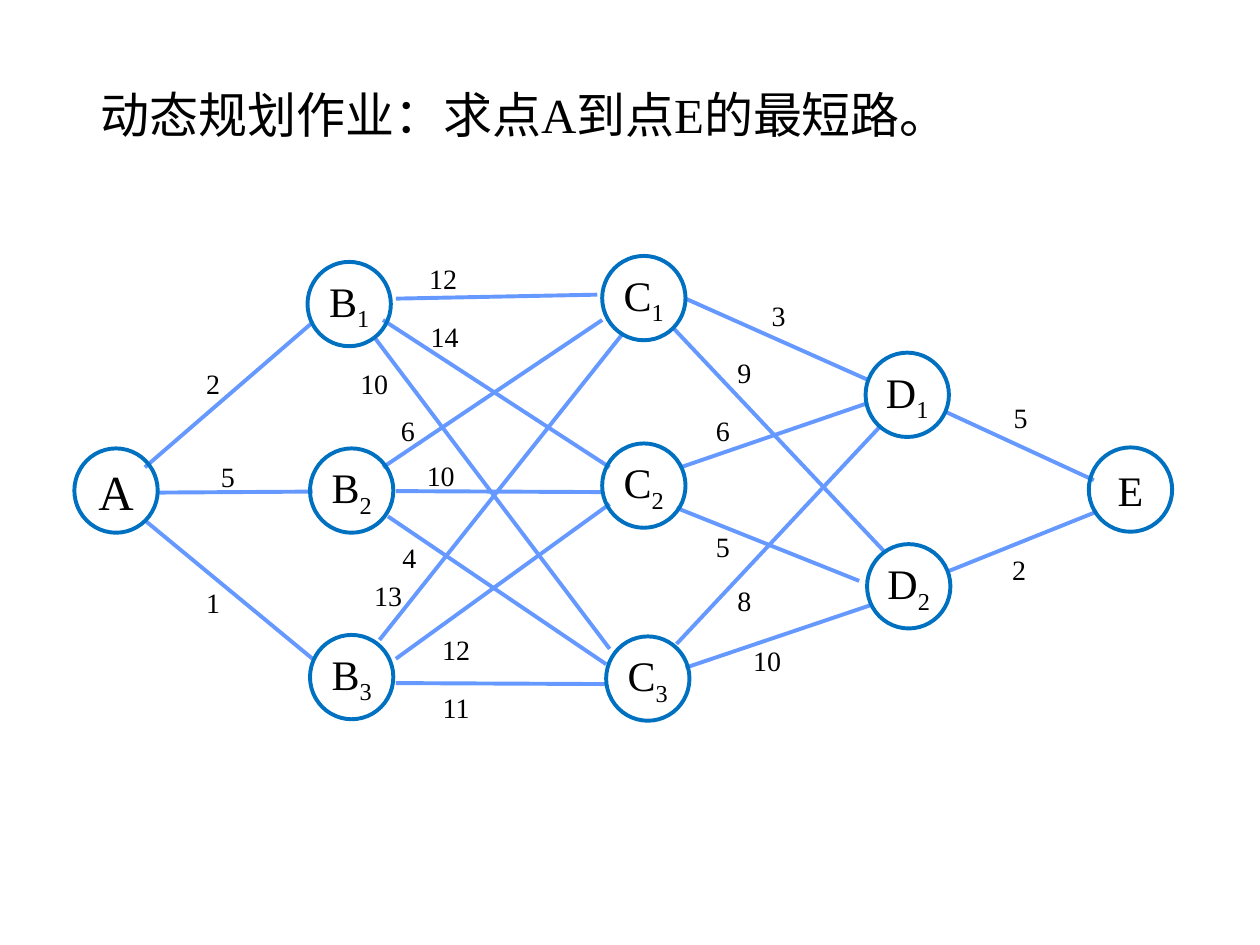
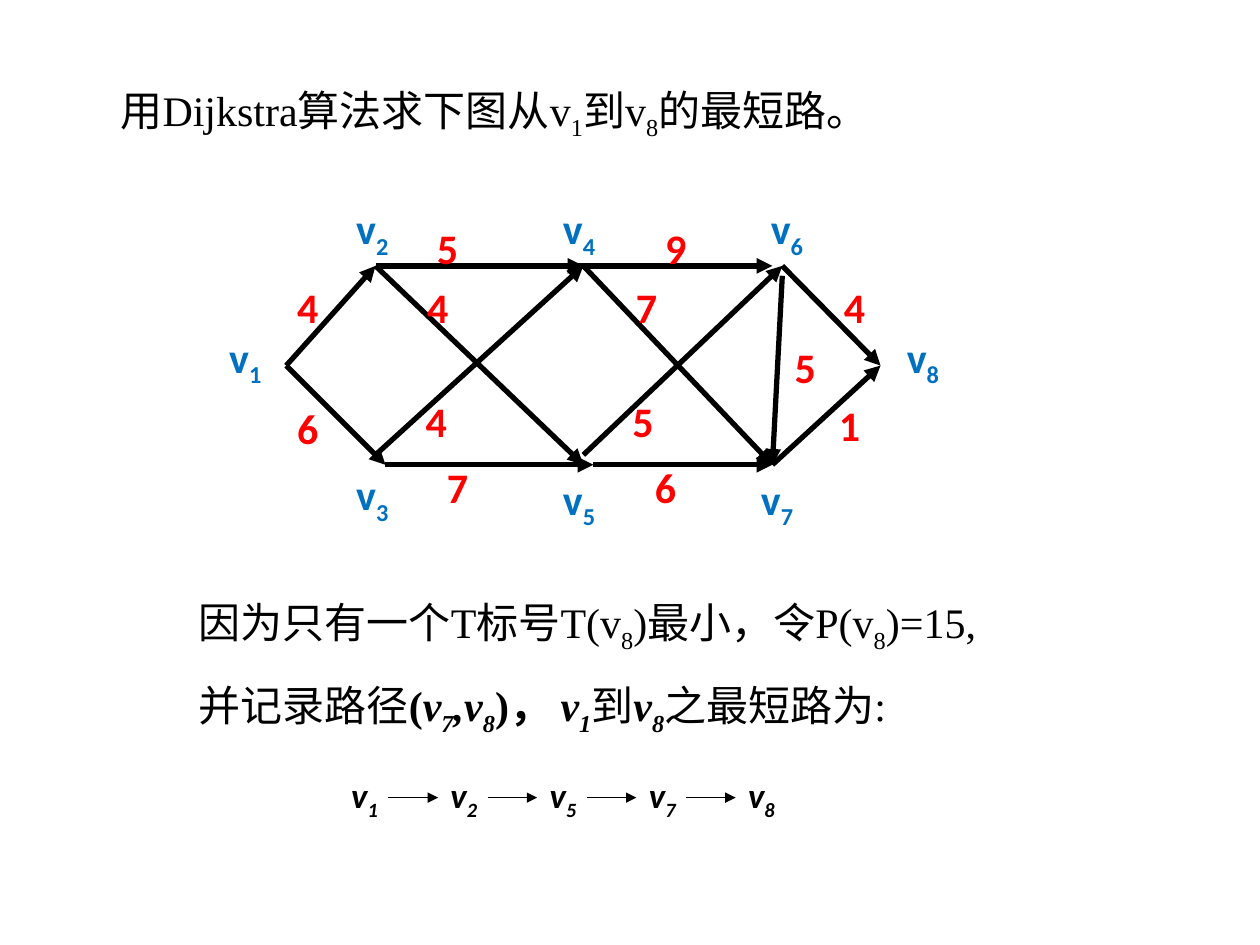
"""Build two slides about shortest paths: a staged network and a Dijkstra example."""
from lxml.etree import SubElement
from pptx import Presentation
from pptx.dml.color import RGBColor
from pptx.enum.shapes import MSO_CONNECTOR as CONNECTOR, MSO_SHAPE as SHAPE
from pptx.enum.text import MSO_ANCHOR as ANCHOR, MSO_AUTO_SIZE as AUTO_SIZE, PP_ALIGN as ALIGN
from pptx.oxml.ns import qn
from pptx.util import Cm, Pt

SERIF, SANS = "Times New Roman", "Calibri"
BLACK, RED, BLUE, EDGE_BLUE = "000000", "FF0000", "0070C0", "6699FF"

STAGE_NODES = [
    ("A", 1.5, 9.04),
    ("B_1", 6.2, 5.28), ("B_2", 6.25, 9.04), ("B_3", 6.25, 12.8),
    ("C_1", 12.14, 5.16), ("C_2", 12.14, 8.94), ("C_3", 12.22, 12.83),
    ("D_1", 17.45, 7.11), ("D_2", 17.48, 10.97),
    ("E", 21.95, 9.02),
]

# Each edge: start, end, weight, top left of the weight label.
STAGE_EDGES = [
    ((2.92, 9.42), (6.3, 6.5), "2", (3.84, 7.39)),
    ((3.18, 9.93), (6.3, 9.91), "5", (4.14, 9.27)),
    ((2.92, 10.49), (6.3, 13.28), "1", (3.84, 11.81)),
    ((7.98, 6.02), (12.04, 5.94), "12", (8.48, 5.28)),
    ((7.72, 6.45), (12.29, 9.42), "14", (8.51, 6.45)),
    ((7.57, 6.83), (12.29, 13.08), "10", (7.09, 7.39)),
    ((7.72, 9.42), (12.14, 6.45), "6", (7.77, 8.33)),
    ((7.98, 9.9), (12.14, 9.92), "10", (8.43, 9.25)),
    ((7.82, 10.41), (12.22, 13.39), "4", (7.8, 10.9)),
    ((7.65, 12.9), (12.55, 6.73), "13", (7.37, 11.66)),
    ((7.98, 13.28), (12.29, 10.16), "12", (8.74, 12.75)),
    ((7.98, 13.77), (12.22, 13.79), "11", (8.74, 13.92)),
    ((13.82, 6.02), (17.48, 7.65), "3", (15.24, 6.02)),
    ((13.56, 6.6), (17.81, 11.1), "9", (14.55, 7.16)),
    ((13.72, 9.42), (17.48, 8.13), "6", (14.12, 8.33)),
    ((13.64, 10.24), (17.32, 11.71), "5", (14.12, 10.67)),
    ((13.64, 12.98), (17.73, 8.61), "8", (14.55, 11.76)),
    ((13.82, 13.46), (17.58, 12.19), "10", (15.01, 12.98)),
    ((19.08, 8.31), (22.05, 9.68), "5", (20.12, 8.08)),
    ((19.08, 11.53), (22.12, 10.31), "2", (20.09, 11.13)),
]

VERTEX_LABELS = [
    ("v_1", 4.37, 6.55), ("v_2", 6.93, 3.96), ("v_3", 6.93, 9.32), ("v_4", 11.1, 3.96),
    ("v_5", 11.1, 9.42), ("v_6", 15.29, 3.96), ("v_7", 15.09, 9.42), ("v_8", 18.03, 6.55),
]

DIRECTED_EDGES = [
    ((11.56, 5.36), (15.57, 5.36), "9", (13.16, 4.37)),
    ((5.77, 7.37), (7.57, 5.36), "4", (5.74, 5.56)),
    ((5.77, 7.37), (7.77, 9.37), "6", (5.74, 7.98)),
    ((7.57, 5.36), (11.76, 5.36), "5", (8.56, 4.37)),
    ((7.77, 9.37), (11.96, 9.37), "7", (8.76, 9.17)),
    ((11.96, 9.37), (15.57, 9.37), "6", (12.95, 9.17)),
    ((15.77, 5.36), (17.75, 7.37), "4", (16.76, 5.56)),
    ((15.57, 9.37), (17.75, 7.37), "1", (16.66, 7.92)),
    ((7.57, 5.36), (11.76, 9.37), "4", (8.36, 5.56)),
    ((7.57, 9.17), (11.76, 5.36), "4", (8.33, 7.85)),
    ((11.76, 9.17), (15.77, 5.36), "5", (12.5, 7.85)),
    ((11.76, 5.36), (15.57, 9.37), "7", (12.57, 5.56)),
    ((15.77, 5.56), (15.57, 9.37), "5", (15.77, 6.76)),
]

SHORTEST_PATH = ["v_1", "v_2", "v_5", "v_7", "v_8"]


def rgb(value):
    """Return the colour for a hex string."""
    return RGBColor.from_string(value)


def write(paragraph, text, size=24, font=SERIF, color=BLACK, bold=False, italic=False):
    """Add text to a paragraph; the character after each underscore is a subscript."""
    first, *rest = text.split("_")
    pieces = [(first, False)]
    for part in rest:
        pieces += [(part[0], True), (part[1:], False)]
    for piece, subscript in pieces:
        if not piece:
            continue
        run = paragraph.add_run()
        run.text = piece
        run.font.size, run.font.name = Pt(size), font
        run.font.bold, run.font.italic = bold, italic
        run.font.color.rgb = rgb(color)
        if subscript:
            run.font._element.set("baseline", "-25000")


def remove_insets(frame):
    """Set all four text margins to zero."""
    frame.margin_left = frame.margin_top = frame.margin_right = frame.margin_bottom = 0


def add_text(slide, text, left, top, width, height, align=ALIGN.LEFT, inset=True,
             wrap=True, **text_format):
    """Add a text box and return its text frame."""
    box = slide.shapes.add_textbox(Cm(left), Cm(top), Cm(width), Cm(height))
    frame = box.text_frame
    frame.word_wrap = wrap
    if inset:
        frame.auto_size = AUTO_SIZE.SHAPE_TO_FIT_TEXT
    else:
        remove_insets(frame)
    paragraph = frame.paragraphs[0]
    paragraph.alignment = align
    write(paragraph, text, **text_format)
    return frame


def add_edge(slide, start, end, color=BLACK, width=3, arrow=True):
    """Add a straight line, with an arrowhead at its end if wanted."""
    points = [Cm(value) for value in (*start, *end)]
    connector = slide.shapes.add_connector(CONNECTOR.STRAIGHT, *points)
    connector.line.color.rgb = rgb(color)
    connector.line.width = Pt(width)
    properties = connector._element.spPr
    if arrow:
        SubElement(properties.find(qn("a:ln")), qn("a:tailEnd"), type="triangle")
    SubElement(properties, qn("a:effectLst"))


def add_node(slide, name, left, top):
    """Add a circle that holds a node name."""
    shape = slide.shapes.add_shape(SHAPE.OVAL, Cm(left), Cm(top), Cm(1.68), Cm(1.7))
    shape.shadow.inherit = False
    shape.fill.background()
    shape.line.color.rgb = rgb(BLUE)
    shape.line.width = Pt(2.25)
    frame = shape.text_frame
    frame.vertical_anchor = ANCHOR.MIDDLE
    remove_insets(frame)
    paragraph = frame.paragraphs[0]
    paragraph.alignment = ALIGN.CENTER
    write(paragraph, name, size=28 if name == "A" else 24)


def add_blank_slide(presentation):
    """Add a slide with the blank layout."""
    return presentation.slides.add_slide(presentation.slide_layouts[6])


def build_stage_network(presentation):
    """Build the slide with the staged network from A to E."""
    slide = add_blank_slide(presentation)
    for start, end, _, _ in STAGE_EDGES:
        add_edge(slide, start, end, color=EDGE_BLUE, width=2.25, arrow=False)
    for _, _, weight, corner in STAGE_EDGES:
        add_text(slide, weight, *corner, 0.91, 0.91, align=ALIGN.CENTER, inset=False, size=16)
    for node in STAGE_NODES:
        add_node(slide, *node)
    add_text(slide, "动态规划作业：求点A到点E的最短路。", 1.78, 1.57, 16.87, 1.45, size=28)


def add_conclusion(slide):
    """Add the two lines that explain the last step."""
    frame = add_text(slide, "因为只有一个T标号T(v_8)最小，令P(v_8)=15,", 3.76, 11.91, 19.3, 2.82)
    paragraph = frame.add_paragraph()
    paragraph.space_before = Pt(14.5)
    write(paragraph, "并记录路径")
    write(paragraph, "(", bold=True)
    write(paragraph, "v_7,v_8", bold=True, italic=True)
    write(paragraph, ")， ", bold=True)
    write(paragraph, "v_1", bold=True, italic=True)
    write(paragraph, "到")
    write(paragraph, "v_8", bold=True, italic=True)
    write(paragraph, "之最短路为:")


def add_path(slide, vertices, left=6.83, step=2.0):
    """Add a row of vertices joined by thin arrows."""
    for index, vertex in enumerate(vertices):
        x = left + index * step
        add_text(slide, vertex, x, 15.47, 1.04, 1.09, wrap=False,
                 size=20, font=SANS, bold=True, italic=True)
        if index < len(vertices) - 1:
            add_edge(slide, (x + 1, 16.08), (x + step, 16.08), width=0.75)


def build_dijkstra(presentation):
    """Build the slide with the directed graph and its shortest path."""
    slide = add_blank_slide(presentation)
    add_text(slide, "用Dijkstra算法求下图从v_1到v_8的最短路。", 2.18, 1.57, 19.69, 1.27)
    for start, end, _, _ in DIRECTED_EDGES:
        add_edge(slide, start, end)
    for name, left, top in VERTEX_LABELS:
        add_text(slide, name, left, top, 1.4, 1.27, font=SANS, color=BLUE, bold=True)
    for _, _, weight, corner in DIRECTED_EDGES:
        add_text(slide, weight, *corner, 1, 1.27, font=SANS, color=RED, bold=True)
    add_conclusion(slide)
    add_path(slide, SHORTEST_PATH)


def main():
    """Build and save the presentation."""
    presentation = Presentation()
    presentation.slide_width, presentation.slide_height = Cm(25.4), Cm(19.05)
    build_stage_network(presentation)
    build_dijkstra(presentation)
    presentation.save("out.pptx")


if __name__ == "__main__":
    main()
